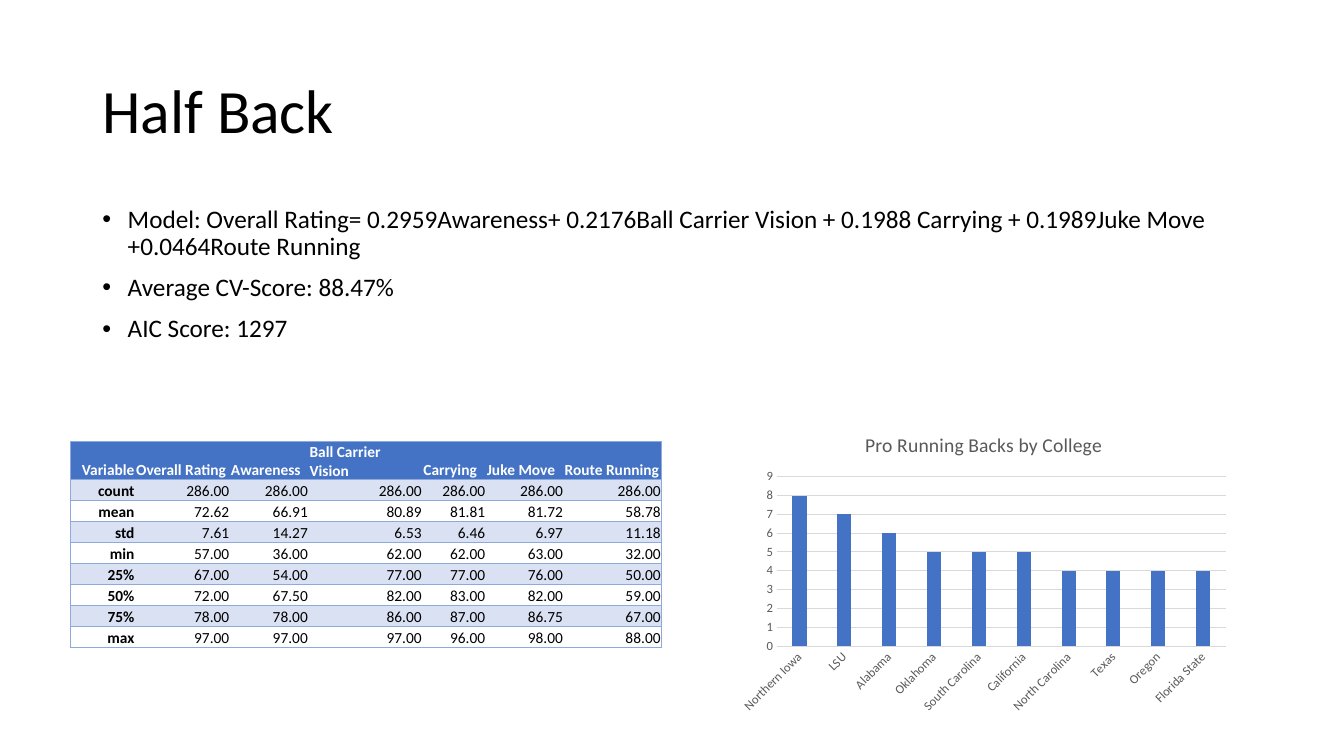
from dataclasses import dataclass

from lxml import etree
from pptx import Presentation, util as u
from pptx.chart import data as cd
from pptx.dml import color
from pptx.enum import chart as ec, text as et
from pptx.oxml import ns


@dataclass(frozen=True)
class Theme:
    font: str = "Calibri"
    black: str = "000000"
    white: str = "FFFFFF"
    gray: str = "595959"
    grid: str = "D9D9D9"
    blue: str = "4472C4"
    band: str = "D9E1F2"
    edge: str = "8EA9DB"
    title: int = 44
    body: int = 18
    head: int = 14
    cell: int = 11
    tick: int = 9


T = Theme()

POINTS = [
    "Model: Overall Rating= 0.2959Awareness+ 0.2176Ball Carrier Vision + "
    "0.1988 Carrying + 0.1989Juke Move +0.0464Route Running",
    "Average CV-Score: 88.47%",
    "AIC Score: 1297",
]
HEADS = ["Variable", "Overall Rating", "Awareness", "Ball Carrier Vision",
         "Carrying", "Juke Move", "Route Running"]
STATS = {
    "count": [286, 286, 286, 286, 286, 286],
    "mean": [72.62, 66.91, 80.89, 81.81, 81.72, 58.78],
    "std": [7.61, 14.27, 6.53, 6.46, 6.97, 11.18],
    "min": [57, 36, 62, 62, 63, 32],
    "25%": [67, 54, 77, 77, 76, 50],
    "50%": [72, 67.5, 82, 83, 82, 59],
    "75%": [78, 78, 86, 87, 86.75, 67],
    "max": [97, 97, 97, 96, 98, 88],
}
WIDTHS = [1.63, 2.39, 1.98, 2.87, 1.6, 1.96, 2.46]
BACKS = {"Northern Iowa": 8, "LSU": 7, "Alabama": 6, "Oklahoma": 5,
         "South Carolina": 5, "California": 5, "North Carolina": 4,
         "Texas": 4, "Oregon": 4, "Florida State": 4}


def rgb(code):
    return color.RGBColor.from_string(code)


def style(font, size, code, bold=False):
    font.name, font.size, font.bold = T.font, u.Pt(size), bold
    font.color.rgb = rgb(code)


def add_run(para, words, size, code, bold=False):
    run = para.add_run()
    run.text = words
    style(run.font, size, code, bold)


def add_dot(para):
    props = para._p.get_or_add_pPr()
    props.set("marL", str(u.Cm(0.64)))
    props.set("indent", str(-u.Cm(0.64)))
    etree.SubElement(props, ns.qn("a:buFont")).set("typeface", "Arial")
    etree.SubElement(props, ns.qn("a:buChar")).set("char", "•")


def add_text(slide, spot, lines, size, anchor, dots=False):
    frame = slide.shapes.add_textbox(*map(u.Cm, spot)).text_frame
    frame.word_wrap = True
    frame.vertical_anchor = anchor
    for i, line in enumerate(lines):
        para = frame.add_paragraph() if i else frame.paragraphs[0]
        if dots:
            add_dot(para)
        para.line_spacing = 0.9
        if i:
            para.space_before = u.Pt(10)
        add_run(para, line, size, T.black)


def add_edge(cell, side, shown):
    line = etree.SubElement(cell._tc.get_or_add_tcPr(), ns.qn("a:ln" + side))
    line.set("w", str(u.Pt(0.5)))
    if shown:
        fill = etree.SubElement(line, ns.qn("a:solidFill"))
        etree.SubElement(fill, ns.qn("a:srgbClr")).set("val", T.edge)
    else:
        etree.SubElement(line, ns.qn("a:noFill"))


def fill_cell(cell, words, row, col):
    last = len(HEADS) - 1
    cell.margin_left = cell.margin_right = cell.margin_top = u.Cm(0.02)
    cell.margin_bottom = 0
    cell.vertical_anchor = et.MSO_ANCHOR.BOTTOM
    # Outer frame and row rules only
    for side, shown in (("L", col == 0), ("R", col == last),
                        ("T", True), ("B", True)):
        add_edge(cell, side, shown)
    if row % 2 or row == 0:
        cell.fill.solid()
        cell.fill.fore_color.rgb = rgb(T.band if row else T.blue)
    else:
        cell.fill.background()
    para = cell.text_frame.paragraphs[0]
    left = row == 0 and col > 0
    para.alignment = et.PP_ALIGN.LEFT if left else et.PP_ALIGN.RIGHT
    add_run(para, words, T.cell, T.black if row else T.white,
            row == 0 or col == 0)


def add_stats(slide, x, y):
    rows = [HEADS] + [[name] + [f"{v:.2f}" for v in vals]
                      for name, vals in STATS.items()]
    high = 0.53
    table = slide.shapes.add_table(
        len(rows), len(HEADS), u.Cm(x), u.Cm(y),
        u.Cm(sum(WIDTHS)), u.Cm(high * len(rows))).table
    table.first_row = table.horz_banding = False
    for col, wide in zip(table.columns, WIDTHS):
        col.width = u.Cm(wide)
    for r, row in enumerate(rows):
        table.rows[r].height = u.Cm(high)
        for c, words in enumerate(row):
            fill_cell(table.cell(r, c), words, r, c)


def set_axis(axis):
    axis.major_tick_mark = axis.minor_tick_mark = ec.XL_TICK_MARK.NONE
    style(axis.tick_labels.font, T.tick, T.gray)


def set_line(line):
    line.color.rgb = rgb(T.grid)
    line.width = u.Pt(0.75)


def place_plot(chart, **sizes):
    area = chart._chartSpace.chart.plotArea
    for old in area.findall(ns.qn("c:layout")):
        area.remove(old)
    layout = etree.Element(ns.qn("c:layout"))
    area.insert(0, layout)
    box = etree.SubElement(layout, ns.qn("c:manualLayout"))
    modes = {"layoutTarget": "inner", "xMode": "edge", "yMode": "edge"}
    for tag, val in {**modes, **sizes}.items():
        etree.SubElement(box, ns.qn("c:" + tag)).set("val", str(val))


def add_bars(slide, spot, title):
    data = cd.CategoryChartData()
    data.categories = list(BACKS)
    data.add_series("Series 1", list(BACKS.values()))
    chart = slide.shapes.add_chart(ec.XL_CHART_TYPE.COLUMN_CLUSTERED,
                                   *map(u.Cm, spot), data).chart
    style(chart.font, 10, T.black)
    chart.has_legend = False
    chart.has_title = True
    add_run(chart.chart_title.text_frame.paragraphs[0], title, T.head, T.gray)
    # Columns
    plot = chart.plots[0]
    plot.vary_by_categories = False
    plot.gap_width, plot.overlap = 219, -27
    fill = plot.series[0].format.fill
    fill.solid()
    fill.fore_color.rgb = rgb(T.blue)
    # Axes
    cats, vals = chart.category_axis, chart.value_axis
    for axis in (cats, vals):
        set_axis(axis)
    set_line(cats.format.line)
    cats._element.find(".//" + ns.qn("a:bodyPr")).set("rot", "-2700000")
    vals.format.line.fill.background()
    set_line(vals.major_gridlines.format.line)
    vals.minimum_scale, vals.maximum_scale, vals.major_unit = 0, 9, 1
    place_plot(chart, x=0.09, y=0.2, w=0.89, h=0.56)


def main():
    deck = Presentation()
    deck.slide_width, deck.slide_height = u.Cm(33.87), u.Cm(19.05)
    slide = deck.slides.add_slide(deck.slide_layouts[6])
    # Title and model notes
    add_text(slide, (2.33, 1.02, 29.21, 3.68), ["Half Back"], T.title,
             et.MSO_ANCHOR.MIDDLE)
    add_text(slide, (2.33, 5.08, 29.21, 12.09), POINTS, T.body,
             et.MSO_ANCHOR.TOP, dots=True)
    # Chart and table
    add_bars(slide, (18.44, 10.49, 12.7, 7.62), "Pro Running Backs by College")
    add_stats(slide, 1.78, 11.13)
    deck.save("out.pptx")


if __name__ == "__main__":
    main()
